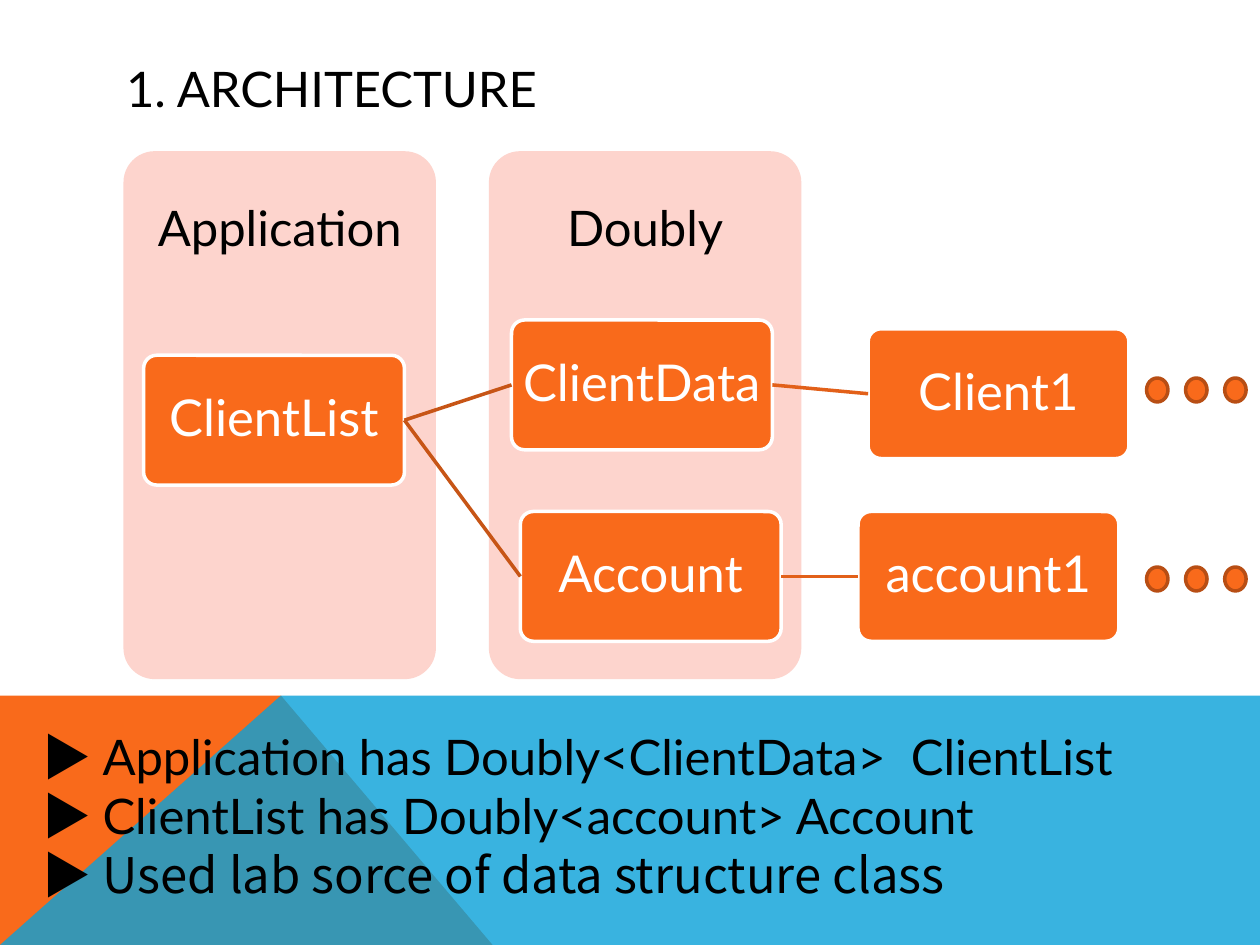
from lxml import etree
from pptx import Presentation
from pptx import util as u
from pptx.dml.color import RGBColor
from pptx.enum import shapes, text
from pptx.oxml.ns import qn

ORANGE = RGBColor(0xF9, 0x6A, 0x1B)
BLUE = RGBColor(0x08, 0xA1, 0xD9)
PINK = RGBColor(0xFD, 0xD4, 0xCD)
DARK_LINK = RGBColor(0xC7, 0x55, 0x16)
LIGHT_LINK = RGBColor(0xE2, 0x60, 0x19)
DOT_LINE = RGBColor(0xB8, 0x4E, 0x14)
WHITE = RGBColor(0xFF, 0xFF, 0xFF)
BLACK = RGBColor(0, 0, 0)
LATIN, SYMBOL = "Lato", "Noto Sans CJK KR"

deck = Presentation()
deck.slide_width, deck.slide_height = u.Inches(10), u.Inches(7.5)
page = deck.slides.add_slide(deck.slide_layouts[5])


def add_box(kind, left, top, width, height, fill, line=None):
    box = page.shapes.add_shape(kind, *map(u.Inches, (left, top, width, height)))
    box.shadow.inherit = False
    box.fill.solid()
    box.fill.fore_color.rgb = fill
    if line is None:
        box.line.fill.background()
    else:
        box.line.color.rgb = line
        box.line.width = u.Pt(2)
    return box


def write_label(box, label, size, color, anchor, inset, top_inset):
    frame = box.text_frame
    frame.word_wrap = True
    frame.vertical_anchor = anchor
    frame.margin_left = frame.margin_right = frame.margin_bottom = u.Inches(inset)
    frame.margin_top = u.Inches(top_inset)
    para = frame.paragraphs[0]
    para.text = label
    para.alignment = text.PP_ALIGN.CENTER
    para.line_spacing = 0.9
    para.font.name, para.font.size = LATIN, u.Pt(size)
    para.font.color.rgb = color


# Coloured band along the bottom
bands = [
    (ORANGE, [(0, 7.5), (0, 5.52), (2.23, 5.52), (3.91, 7.5)]),
    (BLUE, [(0, 7.5), (2.23, 5.52), (10, 5.52), (10, 7.5)]),
]
for color, corners in bands:
    points = [(u.Inches(x), u.Inches(y)) for x, y in corners]
    builder = page.shapes.build_freeform(*points[0])
    builder.add_line_segments(points[1:], close=True)
    band = builder.convert_to_shape()
    band.shadow.inherit = False
    band.fill.solid()
    band.fill.fore_color.rgb = color
    band.line.fill.background()
blue_fill = band.fill._xPr.find(qn("a:solidFill"))
etree.SubElement(blue_fill[0], qn("a:alpha"), val="80000")

# Title
title = page.shapes.title
title.left, title.top = u.Inches(0.9), u.Inches(0.4)
title.width, title.height = u.Inches(8.22), u.Inches(0.6)
title.text_frame.vertical_anchor = text.MSO_ANCHOR.MIDDLE
heading = title.text_frame.paragraphs[0]
heading.text = "1. ARCHITECTURE"
heading.alignment = text.PP_ALIGN.LEFT
heading.font.name, heading.font.size = LATIN, u.Pt(28)
heading.font.color.rgb = BLACK

# Column panels
ROUNDED = shapes.MSO_SHAPE.ROUNDED_RECTANGLE
for left, label in [(0.98, "Application"), (3.88, "Doubly")]:
    panel = add_box(ROUNDED, left, 1.2, 2.48, 4.19, PINK)
    panel.adjustments[0] = 0.1
    write_label(panel, label, 28, BLACK, text.MSO_ANCHOR.TOP, 0.05, 0.35)

# Class boxes
nodes = {}
for label, left, top in [
    ("ClientList", 1.14, 2.82),
    ("ClientData", 4.06, 2.54),
    ("Client1", 6.89, 2.61),
    ("Account", 4.13, 4.06),
    ("account1", 6.81, 4.06),
]:
    node = add_box(ROUNDED, left, top, 2.07, 1.03, ORANGE, WHITE)
    node.adjustments[0] = 0.1
    write_label(node, label, 29, WHITE, text.MSO_ANCHOR.MIDDLE, 0.02, 0.02)
    nodes[label] = node

# Links from the right side of one box to the left side of the next
for source, target, color in [
    ("ClientList", "ClientData", DARK_LINK),
    ("ClientData", "Client1", LIGHT_LINK),
    ("ClientList", "Account", DARK_LINK),
    ("Account", "account1", LIGHT_LINK),
]:
    link = page.shapes.add_connector(shapes.MSO_CONNECTOR.STRAIGHT, 0, 0, 0, 0)
    link.begin_connect(nodes[source], 3)
    link.end_connect(nodes[target], 1)
    link.line.color.rgb = color
    link.line.width = u.Pt(2)
    etree.SubElement(link._element.spPr, qn("a:effectLst"))

# Continuation dots
for top in (3, 4.5):
    for column in range(3):
        add_box(shapes.MSO_SHAPE.OVAL, 9.1 + 0.31 * column, top,
                0.17, 0.19, ORANGE, DOT_LINE)

# Notes on the band
notes = page.shapes.add_textbox(*map(u.Inches, (0.24, 5.72, 9.28, 1.51)))
frame = notes.text_frame
frame.word_wrap = True
for index, (note, font) in enumerate([
    ("Application has Doubly<ClientData>  ClientList", LATIN),
    ("ClientList has Doubly<account> Account", LATIN),
    ("Used lab sorce of data structure class", SYMBOL),
]):
    para = frame.paragraphs[0] if index == 0 else frame.add_paragraph()
    para.line_spacing = u.Pt(33.6)
    para.font.size = u.Pt(28)
    para.font.color.rgb = BLACK
    for words, name in [("▶ ", SYMBOL), (note, font)]:
        span = para.add_run()
        span.text = words
        span.font.name = name
        etree.SubElement(span.font._element, qn("a:ea"), typeface=name)

deck.save("out.pptx")
